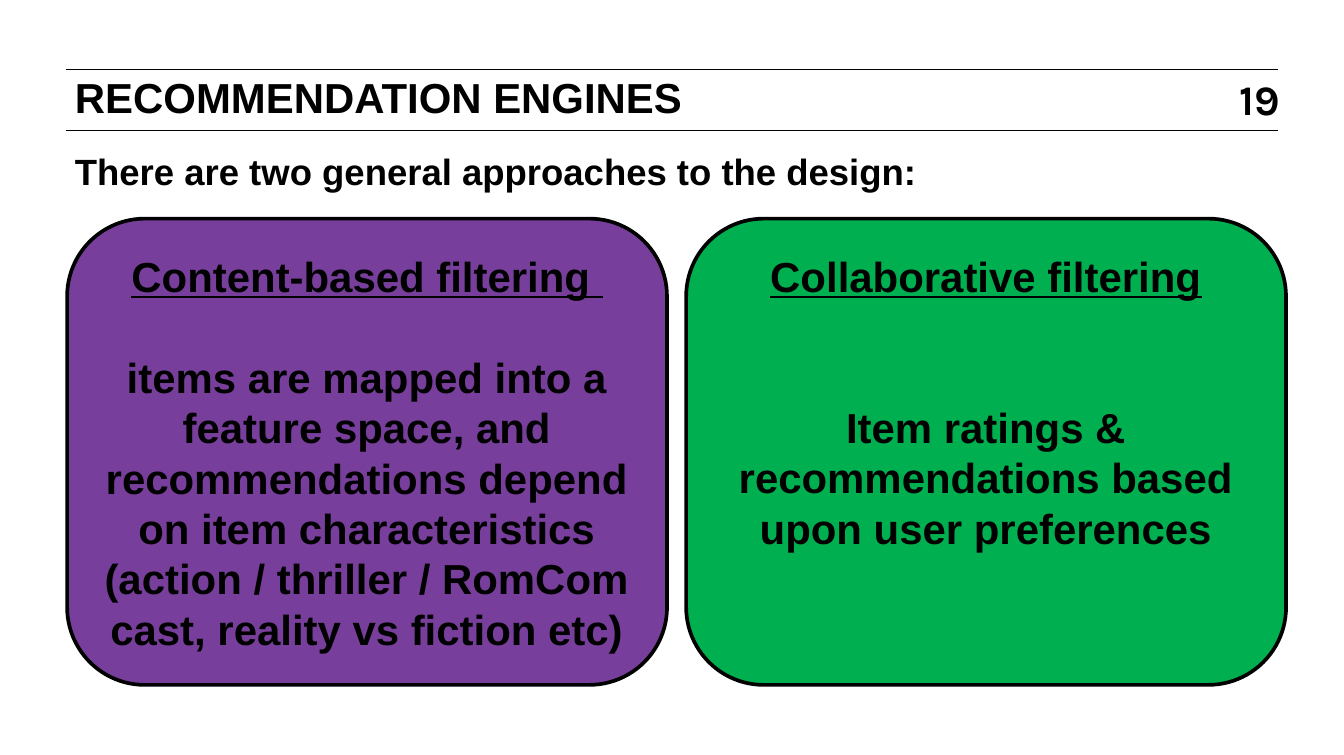
from lxml.etree import SubElement
from pptx import Presentation
from pptx.dml.color import RGBColor
from pptx.enum.shapes import MSO_CONNECTOR, MSO_SHAPE
from pptx.enum.text import MSO_ANCHOR, MSO_AUTO_SIZE, PP_ALIGN
from pptx.oxml.ns import qn
from pptx.util import Cm, Inches, Pt

COLORS = {"ink": "000000", "content": "773F9B", "collaborative": "00B050"}
HEADING = {"size": Pt(23), "name": "Arial", "bold": True}
LINE_PITCH = 27.6
CARD_TOP, CARD_WIDTH, CARD_HEIGHT = 4.23, 11.61, 9.02

CARDS = [
    (1.3, "content", "Content-based filtering ", 1, [
        "items are mapped into a feature space, and recommendations depend "
        "on item characteristics\v(action / thriller / RomCom",
        "cast, reality vs fiction etc)",
    ]),
    (13.28, "collaborative", "Collaborative filtering", 2, [
        "Item ratings & recommendations based upon user preferences",
    ]),
]


def color(name):
    return RGBColor.from_string(COLORS[name])


def apply(target, values):
    for name, value in values.items():
        setattr(target, name, value)


def format_frame(frame, anchor=MSO_ANCHOR.TOP, inset=0.15, wrap=True):
    margin = Cm(inset)
    apply(frame, {
        "auto_size": MSO_AUTO_SIZE.NONE, "word_wrap": wrap,
        "vertical_anchor": anchor,
        "margin_left": margin, "margin_right": margin,
        "margin_top": margin, "margin_bottom": margin,
    })


def write(para, text, font, **layout):
    para.text = text
    apply(para, layout)
    for span in para.runs:
        apply(span.font, font)
        span.font.color.rgb = color("ink")


def add_rule(page, top):
    rule = page.shapes.add_connector(
        MSO_CONNECTOR.STRAIGHT, Cm(1.27), Cm(top), Cm(24.74), Cm(top))
    rule.line.color.rgb = color("ink")
    rule.line.width = Pt(0.5)
    SubElement(rule.element.spPr, qn("a:effectLst"))


def add_label(page, place, text, font, frame_format, **layout):
    box = page.shapes.add_textbox(*map(Cm, place))
    format_frame(box.text_frame, **frame_format)
    write(box.text_frame.paragraphs[0], text, font, **layout)


def set_title(page, text):
    title = page.shapes.title
    apply(title, {"left": Cm(1.3), "top": Cm(1.4),
                  "width": Cm(21.87), "height": Cm(2.82)})
    format_frame(title.text_frame)
    write(title.text_frame.paragraphs[0], text, HEADING,
          alignment=PP_ALIGN.LEFT, line_spacing=Pt(23))


def add_card(page, left, fill, heading, gap_lines, body):
    """Add a rounded card with an underlined heading, a gap and body text."""
    card = page.shapes.add_shape(
        MSO_SHAPE.ROUNDED_RECTANGLE, Cm(left), Cm(CARD_TOP),
        Cm(CARD_WIDTH), Cm(CARD_HEIGHT))
    card.shadow.inherit = False
    card.fill.solid()
    card.fill.fore_color.rgb = color(fill)
    card.line.color.rgb = color("ink")
    card.line.width = Pt(2)
    frame = card.text_frame
    format_frame(frame)
    frame.margin_top = Cm(0.18)
    layout = {"alignment": PP_ALIGN.CENTER, "line_spacing": Pt(LINE_PITCH)}
    write(frame.paragraphs[0], heading, {**HEADING, "underline": True},
          space_after=Pt(gap_lines * LINE_PITCH), **layout)
    for text in body:
        write(frame.add_paragraph(), text, HEADING, **layout)


def main():
    deck = Presentation()
    deck.slide_width, deck.slide_height = Inches(10.24), Inches(5.75)
    page = deck.slides.add_slide(deck.slide_layouts.get_by_name("Title Only"))
    for top in (1.35, 2.52):
        add_rule(page, top)
    add_label(page, (23.88, 1.42, 0.99, 0.97), "19", {**HEADING, "name": "Karla"},
              {"anchor": MSO_ANCHOR.MIDDLE, "inset": 0, "wrap": False},
              alignment=PP_ALIGN.CENTER)
    set_title(page, "RECOMMENDATION ENGINES")
    add_label(page, (1.3, 2.73, 23.42, 1.3),
              "There are two general approaches to the design:",
              {**HEADING, "size": Pt(20)}, {}, line_spacing=Pt(24))
    for card in CARDS:
        add_card(page, *card)
    deck.save("out.pptx")


if __name__ == "__main__":
    main()
